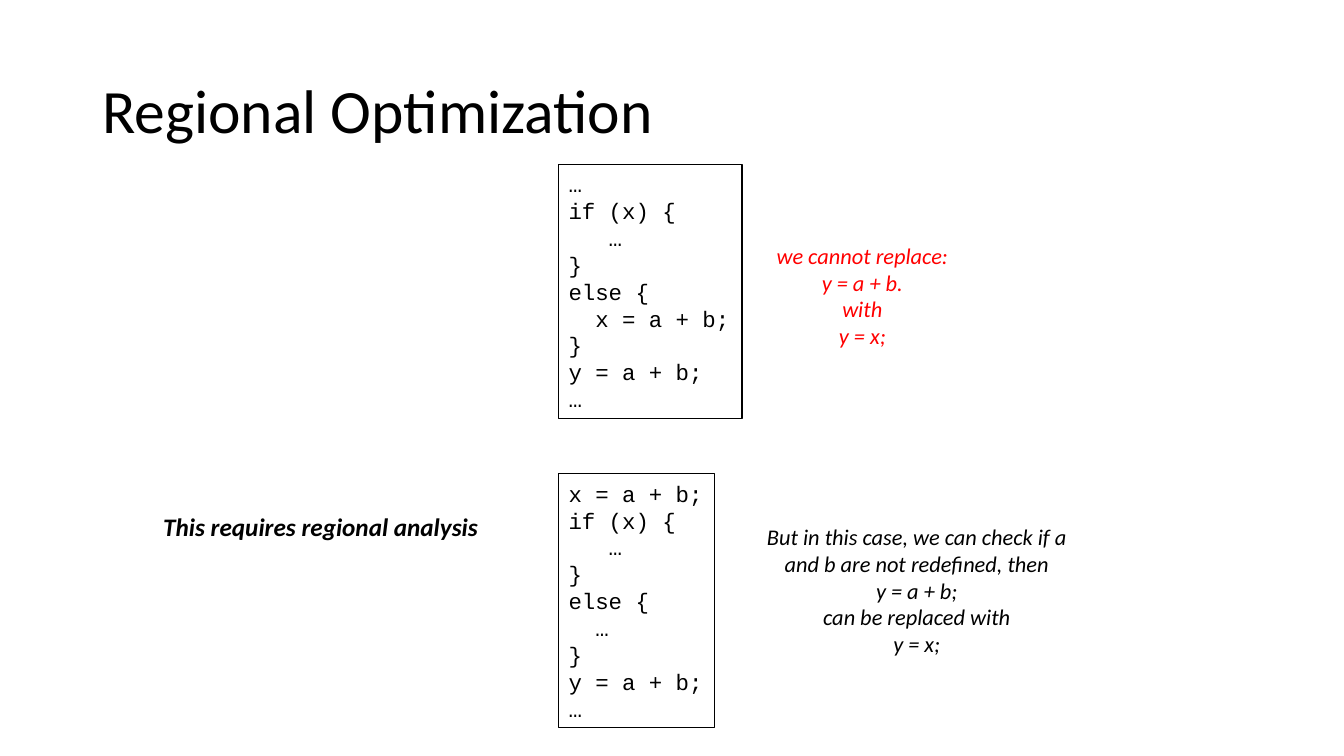
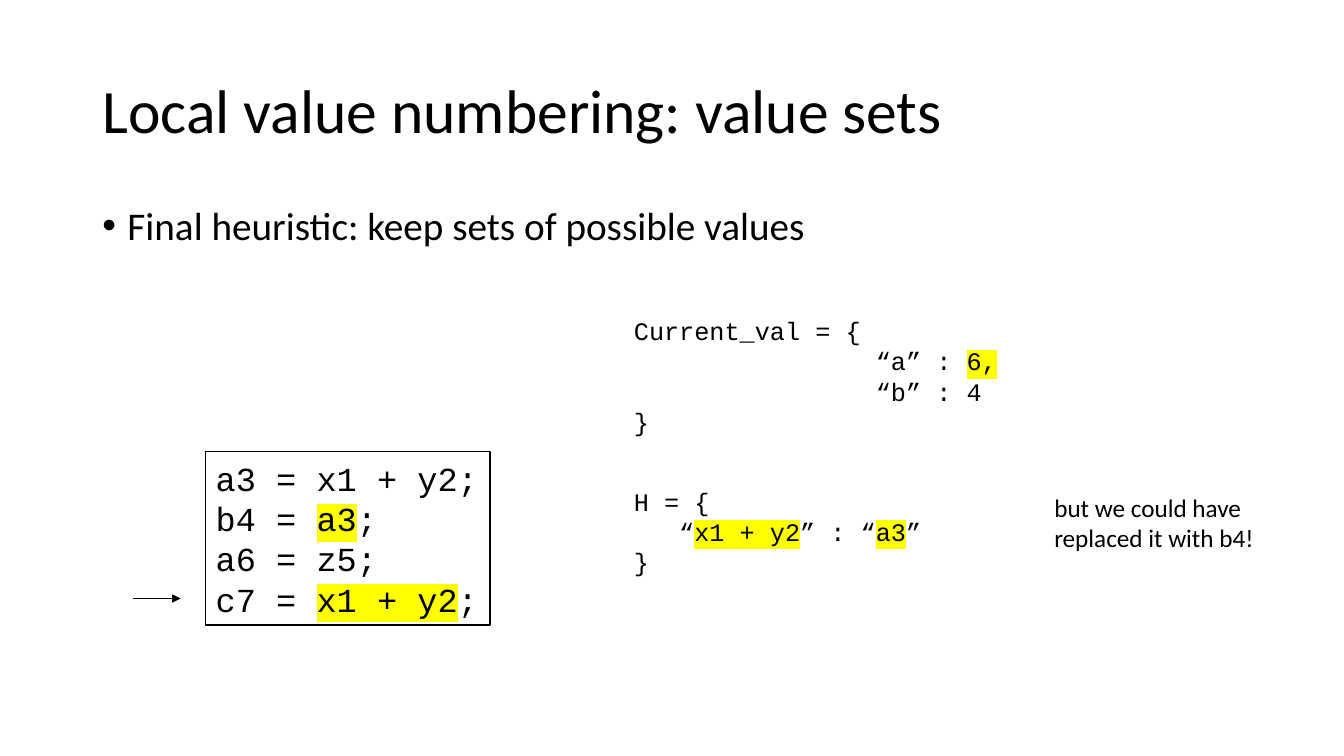
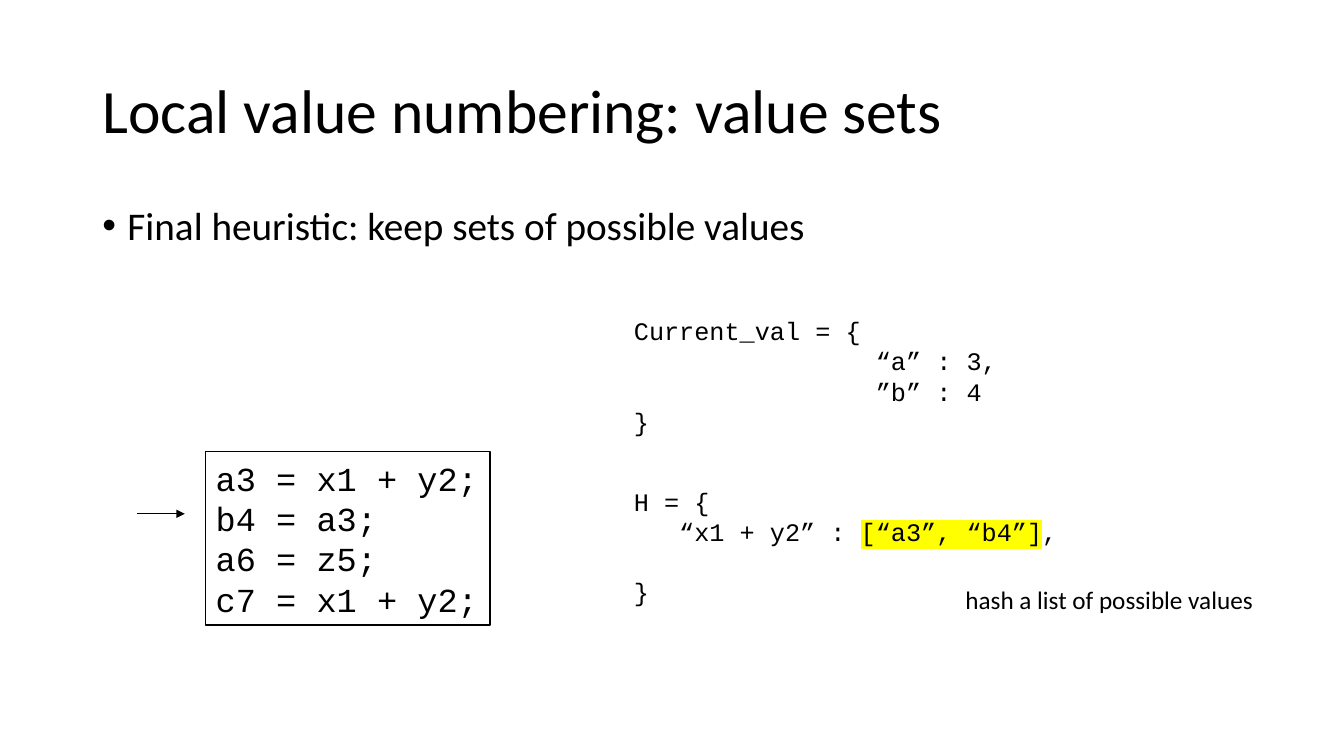
import pptx
import pptx.dml.color
import pptx.enum.shapes
import pptx.enum.text
import pptx.util
from lxml import etree
from pptx.oxml.ns import qn

Pt = pptx.util.Pt
ALIGN = pptx.enum.text.PP_ALIGN
ANCHOR = pptx.enum.text.MSO_ANCHOR
COLORS = {"text": "000000", "paper": "FFFFFF", "warning": "FF0000", "mark": "FFFF00"}
BODY_FONT = "Calibri"
CODE_FONT = "Courier New"
TITLE_ONLY = 5
BLOCK_X = 399
STATE_X = 445.7
VALUE_TITLE = "Local value numbering: value sets"
VALUE_BULLET = "Final heuristic: keep sets of possible values"


def rgb(name):
    return pptx.dml.color.RGBColor.from_string(COLORS[name])


def highlight(r):
    mark = etree.Element(qn("a:highlight"))
    etree.SubElement(mark, qn("a:srgbClr"), val=COLORS["mark"])
    r.font.fill._xPr.find(qn("a:solidFill")).addnext(mark)


def add_text(tf, text, size=18, font=BODY_FONT, color="text", bold=False,
             italic=False, align=ALIGN.LEFT, spacing=None):
    """Write one paragraph per line; bars enclose the highlighted parts."""
    for number, line in enumerate(text.split("\n")):
        p = tf.add_paragraph() if number else tf.paragraphs[0]
        p.alignment = align
        if spacing:
            p.line_spacing = spacing
        for index, part in enumerate(line.split("|")):
            if not part:
                continue
            r = p.add_run()
            r.text = part
            r.font.size = Pt(size)
            r.font.name = font
            r.font.bold = bold
            r.font.italic = italic
            r.font.color.rgb = rgb(color)
            if index % 2:
                highlight(r)


def place(sp, x, y, w, h):
    sp.left, sp.top, sp.width, sp.height = Pt(x), Pt(y), Pt(w), Pt(h)


def add_slide(prs, title):
    s = prs.slides.add_slide(prs.slide_layouts[TITLE_ONLY])
    sp = s.shapes.title
    place(sp, 66, 28.75, 828, 104.4)
    sp.text_frame.vertical_anchor = ANCHOR.MIDDLE
    add_text(sp.text_frame, title, size=44, spacing=0.9)
    return s


def add_label(s, text, x, y, w, h, wrap=True, **style):
    sp = s.shapes.add_textbox(Pt(x), Pt(y), Pt(w), Pt(h))
    tf = sp.text_frame
    tf.word_wrap = wrap
    tf.auto_size = pptx.enum.text.MSO_AUTO_SIZE.SHAPE_TO_FIT_TEXT
    add_text(tf, text, **style)
    return tf


def add_code_block(s, code, x, y, w, h, size):
    """Draw a framed piece of program code."""
    sp = s.shapes.add_shape(pptx.enum.shapes.MSO_SHAPE.RECTANGLE,
                            Pt(x), Pt(y), Pt(w), Pt(h))
    sp.shadow.inherit = False
    sp.fill.solid()
    sp.fill.fore_color.rgb = rgb("paper")
    sp.line.color.rgb = rgb("text")
    sp.line.width = Pt(1)
    tf = sp.text_frame
    tf.word_wrap = False
    tf.auto_size = pptx.enum.text.MSO_AUTO_SIZE.SHAPE_TO_FIT_TEXT
    add_text(tf, code, size=size, font=CODE_FONT)


def add_bullet(s, text):
    tf = add_label(s, text, 66, 144, 828, 59, size=28, spacing=0.9)
    pPr = tf.paragraphs[0]._p.get_or_add_pPr()
    indent = Pt(18)
    pPr.set("marL", str(indent))
    pPr.set("indent", str(-indent))
    etree.SubElement(pPr, qn("a:buFont"), typeface="Arial")
    etree.SubElement(pPr, qn("a:buChar"), char="•")


def add_arrow(s, x, y, length=34):
    line = s.shapes.add_connector(pptx.enum.shapes.MSO_CONNECTOR.STRAIGHT,
                                  Pt(x), Pt(y), Pt(x + length), Pt(y))
    line.line.color.rgb = rgb("text")
    line.line.width = Pt(0.5)
    etree.SubElement(line.line._get_or_add_ln(), qn("a:tailEnd"), type="triangle")
    etree.SubElement(line._element.spPr, qn("a:effectLst"))


def add_value_slide(prs, code, table, current, table_width, arrow):
    """Show the code beside the hash table and the current value numbers."""
    s = add_slide(prs, VALUE_TITLE)
    add_bullet(s, VALUE_BULLET)
    add_code_block(s, code, 147, 322.5, 203, 124, size=24)
    table_tf = add_label(s, table, STATE_X, 343.5, table_width, 72.7, font=CODE_FONT)
    add_label(s, current, STATE_X, 221.8, 275, 94.5, wrap=False, font=CODE_FONT)
    add_arrow(s, *arrow)
    return s, table_tf


def regional_slide(prs):
    s = add_slide(prs, "Regional Optimization")
    add_code_block(
        s, "…\nif (x) {\n   …\n}\nelse {\n  x = a + b;\n}\ny = a + b;\n…",
        BLOCK_X, 117.3, 131, 181.5, size=16)
    add_label(s, "we cannot replace:\ny = a + b.\nwith\ny = x;",
              546.5, 169.2, 139, 85, wrap=False, size=16, color="warning",
              italic=True, align=ALIGN.CENTER)
    add_code_block(
        s, "x = a + b;\nif (x) {\n   …\n}\nelse {\n  …\n}\ny = a + b;\n…",
        BLOCK_X, 338.3, 111.6, 181.5, size=16)
    add_label(s, "But in this case, we can check if a and b are not redefined, then\n"
              "y = a + b;\ncan be replaced with\ny = x;",
              540, 370, 229.7, 104.4, size=16, italic=True, align=ALIGN.CENTER)
    add_label(s, "This requires regional analysis", 109.5, 361.5, 242, 29,
              wrap=False, bold=True, italic=True)


def single_value_slide(prs):
    s, _ = add_value_slide(
        prs,
        code="a3 = x1 + y2;\nb4 = |a3|;\na6 = z5;\nc7 = |x1 + y2|;",
        table="H = {\n   “|x1 + y2|” : “|a3|”\n}",
        current="Current_val = {\n                “a” : |6,|\n                “b” : 4\n}",
        table_width=266.4, arrow=(95, 427.5))
    add_label(s, "but we could have replaced it with b4!", 746, 347.8, 203, 51)


def value_list_slide(prs):
    s, table_tf = add_value_slide(
        prs,
        code="a3 = x1 + y2;\nb4 = a3;\na6 = z5;\nc7 = x1 + y2;",
        table="H = {\n   “x1 + y2” : |[“a3”, “b4”]|,\n}",
        current="Current_val = {\n                “a” : 3,\n                ”b” : 4\n}",
        table_width=326, arrow=(98, 367))
    table_tf.paragraphs[-1].space_before = Pt(21.6)
    add_label(s, "hash a list of possible values", 682.5, 414, 222.5, 29, wrap=False)


def main():
    prs = pptx.Presentation()
    prs.slide_width, prs.slide_height = Pt(960), Pt(540)
    regional_slide(prs)
    single_value_slide(prs)
    value_list_slide(prs)
    prs.save("out.pptx")


if __name__ == "__main__":
    main()
